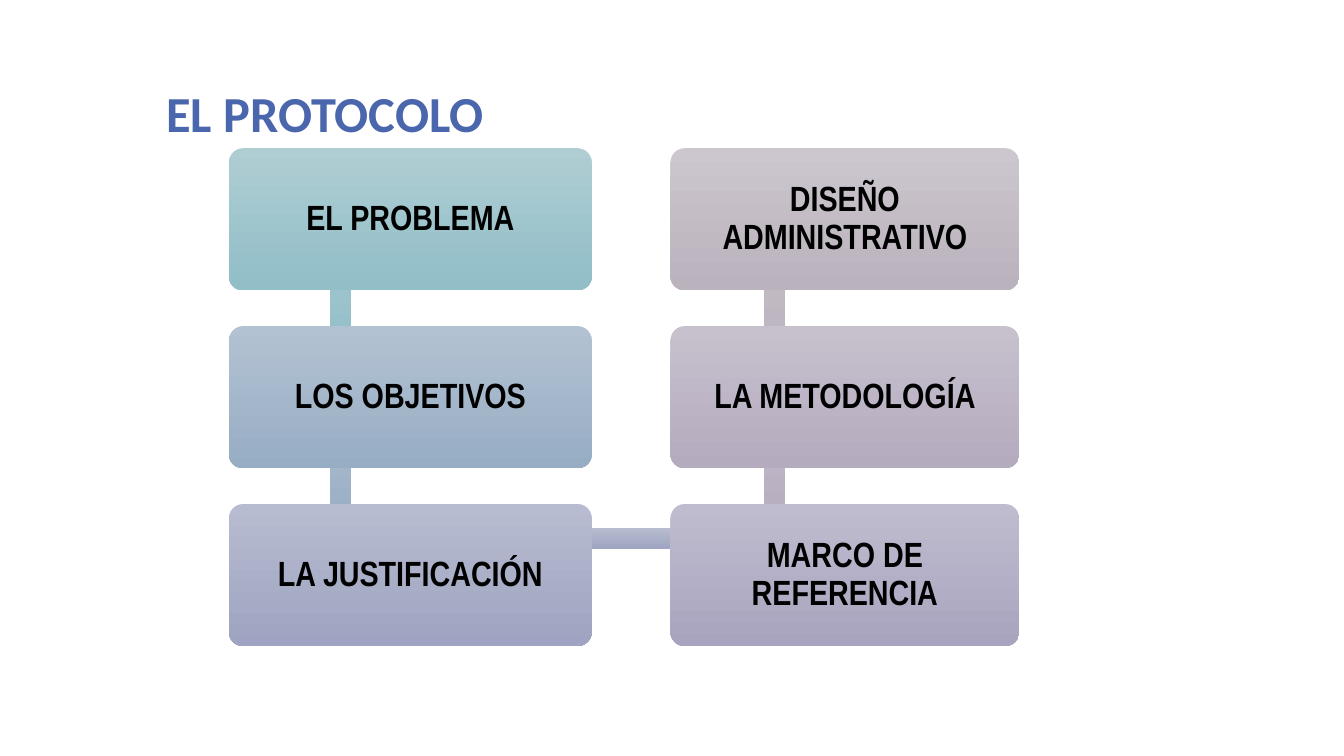
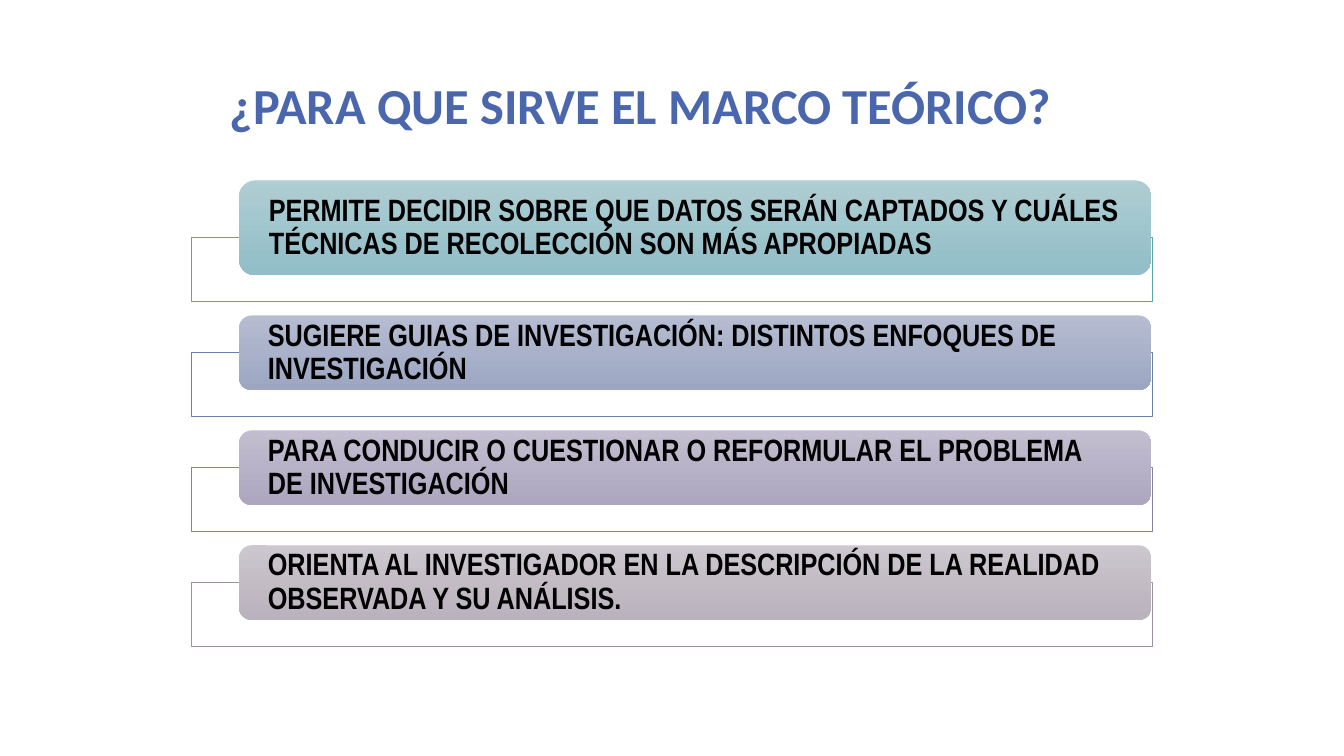
from pptx import Presentation
from pptx.dml.color import RGBColor
from pptx.enum.shapes import MSO_SHAPE
from pptx.enum.text import MSO_ANCHOR, PP_ALIGN
from pptx.util import Inches, Pt

COLORS = {
    "title": "4A66AC", "text": "000000", "paper": "FFFFFF",
    "teal line": "5AA2AE", "blue line": "6D7FA8",
    "violet line": "887FA3", "mauve line": "9D90A0",
}
GRADIENTS = {
    "teal": ("AFCDD3", "91BEC7"),
    "steel": ("B3C2D2", "97ADC4"),
    "blue": ("B6BDD1", "9CA6C2"),
    "indigo": ("B8BCD0", "9EA4C1"),
    "lavender": ("BFBCCF", "A8A4BF"),
    "violet": ("C2BECF", "ACA6BF"),
    "lilac": ("C7C1CE", "B4ABBE"),
    "mauve": ("CCC6CE", "BAB2BC"),
}


class SlideBuilder:
    """Holds the shared style and the slide being drawn."""

    title_font = "Calibri"
    card_font = "Arial Narrow"

    def __init__(self):
        self.deck = Presentation()
        self.deck.slide_width = Inches(13.33)
        self.deck.slide_height = Inches(7.5)
        self.page = None

    def new_page(self):
        self.page = self.deck.slides.add_slide(self.deck.slide_layouts[6])

    def set_text(self, frame, text, font, size, color, spacing):
        frame.word_wrap = True
        frame.text = text
        para = frame.paragraphs[0]
        para.line_spacing = spacing
        span = para.runs[0]
        span.font.name = font
        span.font.size = Pt(size)
        span.font.bold = True
        span.font.color.rgb = RGBColor.from_string(COLORS[color])
        return para

    def title(self, text, left, top, width, height):
        box = self.page.shapes.add_textbox(
            Inches(left), Inches(top), Inches(width), Inches(height))
        box.text_frame.vertical_anchor = MSO_ANCHOR.BOTTOM
        self.set_text(box.text_frame, text, self.title_font, 36, "title", 0.8)

    def shape(self, kind, left, top, width, height):
        shape = self.page.shapes.add_shape(
            kind, Inches(left), Inches(top), Inches(width), Inches(height))
        shape.shadow.inherit = False
        shape.line.fill.background()
        return shape

    def gradient(self, shape, name):
        shape.fill.gradient()
        shape.fill.gradient_angle = 270
        for stop, color in zip(shape.fill.gradient_stops, GRADIENTS[name]):
            stop.color.rgb = RGBColor.from_string(color)

    def link(self, gradient, left, top, width, height):
        bar = self.shape(MSO_SHAPE.RECTANGLE, left, top, width, height)
        self.gradient(bar, gradient)

    def frame(self, line, left, top, width, height):
        outline = self.shape(MSO_SHAPE.RECTANGLE, left, top, width, height)
        outline.fill.solid()
        outline.fill.fore_color.rgb = RGBColor.from_string(COLORS["paper"])
        outline.line.color.rgb = RGBColor.from_string(COLORS[line])
        outline.line.width = Pt(0.5)

    def card(self, text, gradient, left, top, width, height, size,
             align, corner, side_inset, end_inset):
        card = self.shape(
            MSO_SHAPE.ROUNDED_RECTANGLE, left, top, width, height)
        card.adjustments[0] = corner
        self.gradient(card, gradient)
        frame = card.text_frame
        frame.margin_left = frame.margin_right = Inches(side_inset)
        frame.margin_top = frame.margin_bottom = Inches(end_inset)
        frame.vertical_anchor = MSO_ANCHOR.MIDDLE
        para = self.set_text(frame, text, self.card_font, size, "text", 0.9)
        para.alignment = align


def protocol_page(builder):
    builder.new_page()
    builder.title("EL PROTOCOLO", 1.55, 0.36, 9, 1.1)
    top, height, thickness = 1.47, 1.41, 0.21
    pitch = 3.53 / 2
    columns = [
        (2.27, 3.6, 3.27, [("EL PROBLEMA", "teal"),
                           ("LOS OBJETIVOS", "steel"),
                           ("LA JUSTIFICACIÓN", "indigo")]),
        (6.65, 3.46, 7.58, [("DISEÑO ADMINISTRATIVO", "mauve"),
                            ("LA METODOLOGÍA", "lilac"),
                            ("MARCO DE REFERENCIA", "lavender")]),
    ]
    builder.link("indigo", 3.38, 5.24, 4.29, thickness)
    for left, width, link_left, steps in columns:
        for row, (text, gradient) in enumerate(steps[:-1]):
            builder.link(gradient, link_left, top + 0.35 + row * pitch,
                         thickness, pitch)
        for row, (text, gradient) in enumerate(steps):
            builder.card(text, gradient, left, top + row * pitch, width,
                         height, 25, PP_ALIGN.CENTER, 0.1, 0.1, 0.1)


def theory_page(builder):
    builder.new_page()
    builder.title("¿PARA QUE SIRVE EL MARCO TEÓRICO?", 2.18, 0.13, 9, 1.25)
    uses = [
        ("PERMITE DECIDIR SOBRE QUE DATOS SERÁN CAPTADOS Y CUÁLES TÉCNICAS "
         "DE RECOLECCIÓN SON MÁS APROPIADAS", "teal", 0.94),
        ("SUGIERE GUIAS DE INVESTIGACIÓN: DISTINTOS ENFOQUES DE "
         "INVESTIGACIÓN", "blue", 0.74),
        ("PARA CONDUCIR O CUESTIONAR O REFORMULAR EL PROBLEMA DE "
         "INVESTIGACIÓN", "violet", 0.74),
        ("ORIENTA AL INVESTIGADOR EN LA DESCRIPCIÓN DE LA REALIDAD "
         "OBSERVADA Y SU ANÁLISIS.", "mauve", 0.74),
    ]
    for row, (text, color, height) in enumerate(uses):
        middle = 2.36 + row * 1.14
        builder.frame(f"{color} line", 1.9, middle, 9.53, 0.63)
        builder.card(text, color, 2.37, middle + 0.37 - height, 9.05, height,
                     22, PP_ALIGN.LEFT, 0.17, 0.25, 0)


def main():
    builder = SlideBuilder()
    protocol_page(builder)
    theory_page(builder)
    builder.deck.save("out.pptx")


if __name__ == "__main__":
    main()
